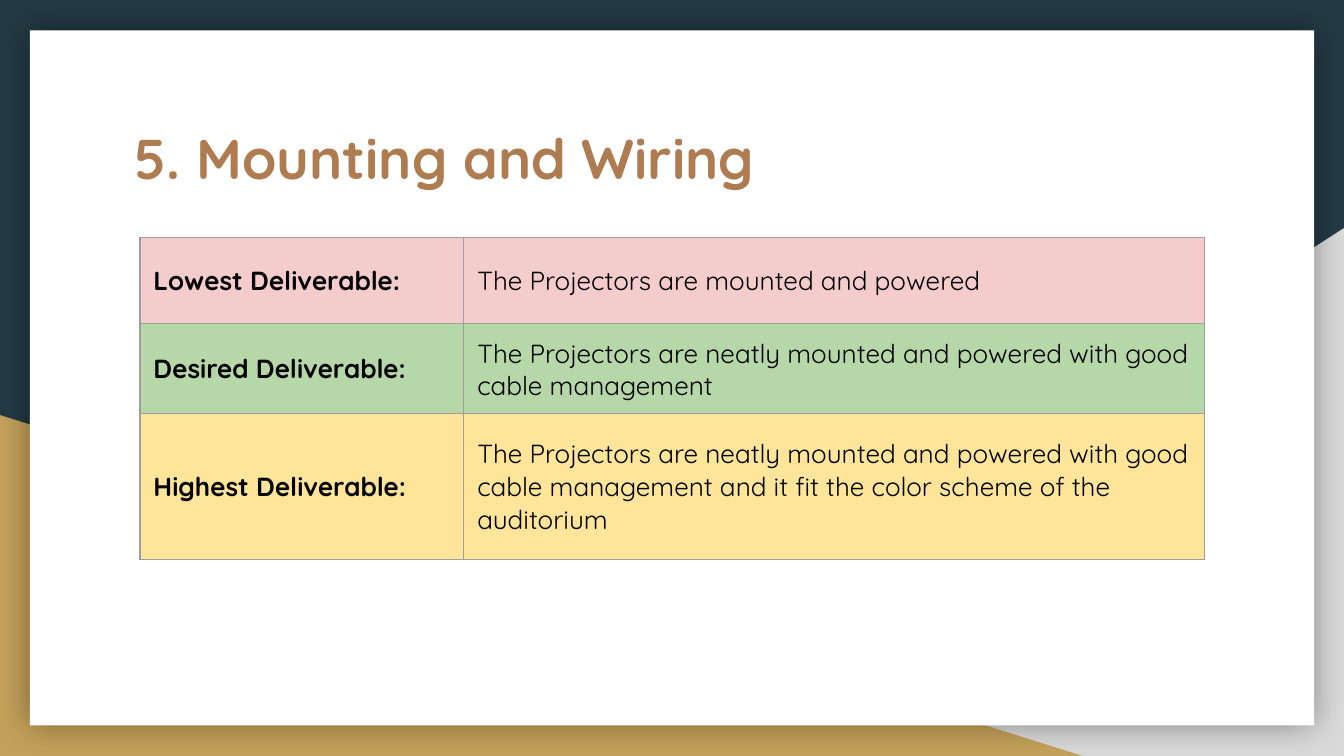
from lxml.etree import SubElement
from pptx import Presentation
from pptx.dml.color import RGBColor
from pptx.enum.shapes import MSO_SHAPE
from pptx.enum.text import MSO_ANCHOR
from pptx.oxml.ns import qn
from pptx.util import Pt

COLORS = {
    "navy": "233A44", "gray": "D9D9D9", "gold": "C4A15A", "white": "FFFFFF",
    "brown": "AF7B51", "black": "000000", "line": "9E9E9E",
    "pink": "F4CCCC", "green": "B6D7A8", "yellow": "FFE599",
}
INSET = Pt(7.2)


def paint(fill, color):
    fill.solid()
    fill.fore_color.rgb = RGBColor.from_string(COLORS[color])


def write(frame, text, size, color, bold):
    run = frame.paragraphs[0].add_run()
    run.text = text
    run.font.name = "Quicksand"
    run.font.size = Pt(size)
    run.font.bold = bold
    run.font.color.rgb = RGBColor.from_string(COLORS[color])


deck = Presentation()
deck.slide_width, deck.slide_height = Pt(720), Pt(405)
slide = deck.slides.add_slide(deck.slide_layouts[6])
paint(slide.background.fill, "navy")

# Corner triangles and the white card
backs = [
    (MSO_SHAPE.RIGHT_TRIANGLE, 282, 122.2, 438, 282.8, "gray"),
    (MSO_SHAPE.RIGHT_TRIANGLE, 0, 222.4, 580, 182.6, "gold"),
    (MSO_SHAPE.RECTANGLE, 16, 16.3, 688, 372.4, "white"),
]
for kind, left, top, width, height, color in backs:
    shape = slide.shapes.add_shape(kind, Pt(left), Pt(top), Pt(width), Pt(height))
    shape.shadow.inherit = False
    paint(shape.fill, color)
    shape.line.fill.background()
    props = shape._element.spPr
    if color == "gray":
        props.xfrm.set("flipH", "1")
    if color == "white":
        # Soft shadow around the card
        glow = SubElement(props.find(qn("a:effectLst")), qn("a:outerShdw"),
                          blurRad=str(Pt(18)), dist="0", dir="0",
                          algn="ctr", rotWithShape="0")
        tint = SubElement(glow, qn("a:srgbClr"), val=COLORS["black"])
        SubElement(tint, qn("a:alpha"), val="40000")

# Title
title = slide.shapes.add_textbox(Pt(64.8), Pt(59), Pt(591), Pt(75)).text_frame
title.word_wrap = True
title.vertical_anchor = MSO_ANCHOR.TOP
title.margin_left = title.margin_right = INSET
title.margin_top = title.margin_bottom = INSET
write(title, "5. Mounting and Wiring", 30, "brown", True)

# Table of deliverables: label, goal, height, fill
rows = [
    ("Lowest Deliverable:", "The Projectors are mounted and powered", 46, "pink"),
    ("Desired Deliverable:", "The Projectors are neatly mounted and powered "
     "with good cable management", 46, "green"),
    ("Highest Deliverable:", "The Projectors are neatly mounted and powered "
     "with good cable management and it fit the color scheme of the auditorium",
     78.5, "yellow"),
]
widths = [173.5, 396.7]
table = slide.shapes.add_table(len(rows), len(widths), Pt(75), Pt(127.4),
                               Pt(sum(widths)), Pt(170.5)).table
table.first_row = table.horz_banding = False
for column, width in zip(table.columns, widths):
    column.width = Pt(width)
for row, (label, goal, height, color) in zip(table.rows, rows):
    row.height = Pt(height)
    for cell, text in zip(row.cells, (label, goal)):
        cell.vertical_anchor = MSO_ANCHOR.MIDDLE
        cell.margin_left = cell.margin_right = INSET
        cell.margin_top = cell.margin_bottom = INSET
        write(cell.text_frame, text, 14, "black", text == label)
        # Borders come before the fill in the cell properties
        props = cell._tc.get_or_add_tcPr()
        for side in ("lnL", "lnR", "lnT", "lnB"):
            edge = SubElement(props, qn("a:" + side), w=str(Pt(0.75)))
            ink = SubElement(edge, qn("a:solidFill"))
            SubElement(ink, qn("a:srgbClr"), val=COLORS["line"])
        paint(cell.fill, color)

deck.save("out.pptx")
